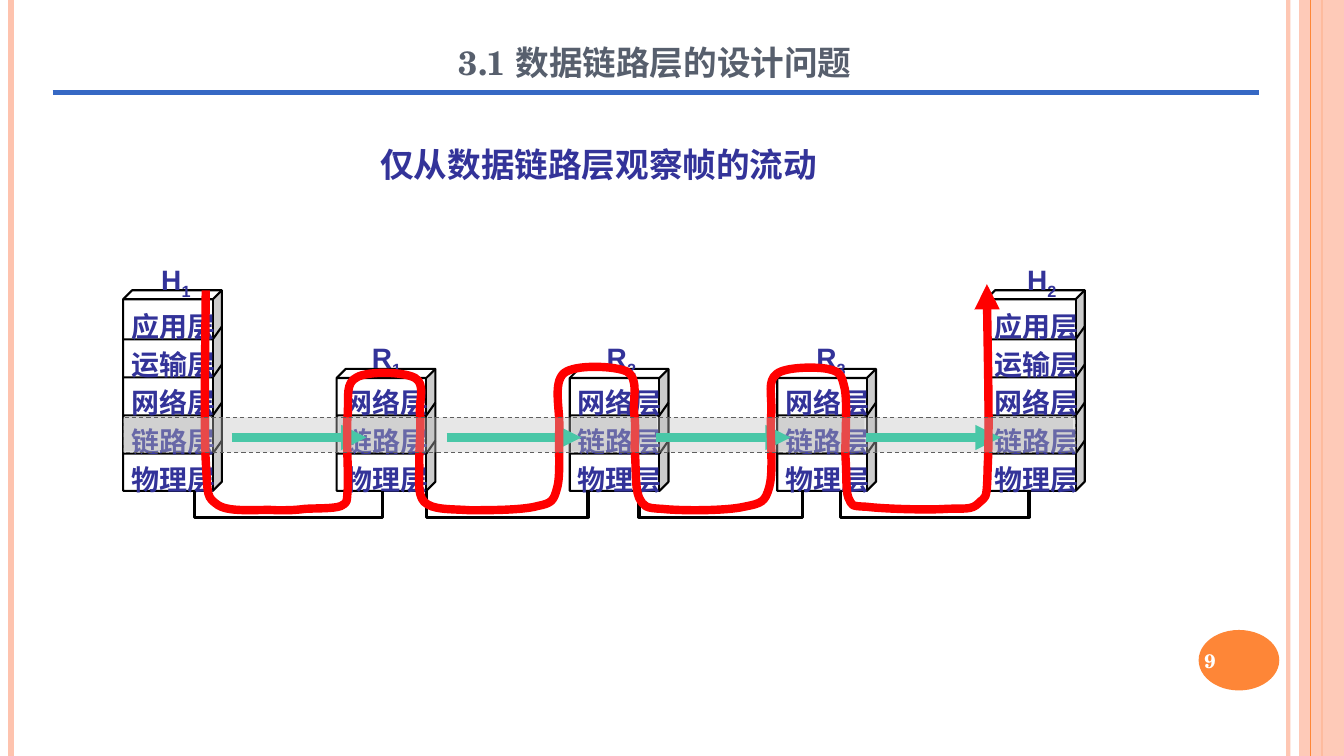
import dataclasses

import lxml.etree
import pptx
import pptx.dml.color
import pptx.enum.dml
import pptx.enum.shapes
import pptx.enum.text
import pptx.oxml.ns
import pptx.util

Pt = pptx.util.Pt
qn = pptx.oxml.ns.qn
SHAPES = pptx.enum.shapes.MSO_SHAPE
ALIGN = pptx.enum.text.PP_ALIGN
ANCHOR = pptx.enum.text.MSO_ANCHOR


@dataclasses.dataclass(frozen=True)
class Theme:
    heading: str = "575F6D"
    label: str = "333399"
    white: str = "FFFFFF"
    black: str = "000000"
    pale: str = "FEC3AE"
    orange: str = "FE8637"
    rule: str = "3668C4"
    link_layer: str = "DDDDDD"
    hop: str = "00CC99"
    route: str = "FF0000"
    band: str = "C0C0C0"
    band_edge: str = "5F5F5F"
    serif: str = "TeX Gyre Schola"
    sans: str = "Arial"
    chinese: str = "Noto Sans CJK SC"
    title_size: int = 30
    subtitle_size: int = 24
    label_size: int = 20
    number_size: int = 14


THEME = Theme()
LAYERS = ["应用层", "运输层", "网络层", "链路层", "物理层"]
LAYER_STEP = 27.2
STACK_BOTTOM = 350.6
STACK_WIDTH = 70.5
FRONT_WIDTH = 64

# Name, index, left of the stack, left of its name, number of layers, height
STACKS = [
    ("H", "1", 88, 107.3, 5, 143.3),
    ("H", "2", 704.3, 725.8, 5, 143.3),
    ("R", "1", 240.5, 257.8, 3, 87.1),
    ("R", "2", 407, 425.5, 3, 87.1),
    ("R", "3", 555.2, 575.3, 3, 87.1),
]
HOP_STARTS = [165.5, 319, 468.5, 618.5]
LINKS = [(139, 273), (304.5, 420), (456.5, 573), (600.5, 735)]

# Start of the frame's route, then three points for each Bézier curve
ROUTE = [
    (147, 207.5),
    (147, 227.5), (145.5, 304), (147, 329), (148.5, 355), (147.5, 355), (156, 361),
    (165, 366.5), (187, 363.5), (197.5, 364.5), (208, 364.5), (210, 364.5), (218, 363.5),
    (225.5, 363), (238.5, 363.5), (243.5, 361.5), (248.5, 358.5), (247.5, 360), (248.5, 348.5),
    (249, 337.5), (247, 309), (248.5, 295), (249, 282), (247, 273.5), (255, 269.5),
    (263, 265), (288.5, 265.5), (296.5, 270), (304, 274.5), (299.5, 285), (300, 295),
    (301, 304.5), (299.5, 318), (299.5, 329), (300, 339), (297.5, 353), (303, 358.5),
    (309, 364.5), (322, 363.5), (335.5, 364.5), (349, 364.5), (373.5, 364.5), (384, 361.5),
    (394, 359.5), (395.5, 358), (398, 348.5), (400.5, 340), (399, 320.5), (399.5, 307.5),
    (400.5, 294), (394.5, 273.5), (403, 266.5), (411, 260), (440, 261.5), (448, 265.5),
    (456.5, 270.5), (452, 285), (453, 295), (454.5, 304.5), (453, 313), (453.5, 323.5),
    (454.5, 333.5), (453.5, 348.5), (456.5, 355.5), (460, 362), (461, 363), (473, 363.5),
    (485.5, 365), (519, 365), (531.5, 362), (544.5, 359.5), (546.5, 358.5), (549.5, 348),
    (553, 336), (549.5, 308), (551, 295), (551.5, 281.5), (548, 272), (555, 267),
    (561.5, 262), (583, 262), (591, 263.5), (600, 265.5), (601, 267), (603.5, 278),
    (605.5, 288.5), (603.5, 314), (604, 327), (605, 340), (604, 350), (606, 355.5),
    (609, 361.5), (607.5, 361.5), (619, 362), (630.5, 363.5), (663, 364.5), (676, 363.5),
    (689, 363), (694, 364.5), (699, 359.5), (704, 354), (705, 360), (705.5, 334),
    (707, 308), (705, 230.5), (705, 203),
]


def rgb(colour):
    return pptx.dml.color.RGBColor.from_string(colour)


def set_alpha(fill_parent, percent):
    colour = fill_parent.find(qn("a:solidFill")).find(qn("a:srgbClr"))
    lxml.etree.SubElement(colour, qn("a:alpha"), val=str(percent * 1000))


def set_line(shape, colour, width, arrow=False):
    shape.line.color.rgb = rgb(colour)
    shape.line.width = Pt(width)
    if arrow:
        lxml.etree.SubElement(shape.line._get_or_add_ln(), qn("a:tailEnd"), type="triangle")


def add_line(page, start, end, colour, width, arrow=False, alpha=None):
    line = page.shapes.add_connector(
        pptx.enum.shapes.MSO_CONNECTOR.STRAIGHT, *map(Pt, start + end))
    set_line(line, colour, width, arrow)
    if alpha:
        set_alpha(line.line._get_or_add_ln(), alpha)
    lxml.etree.SubElement(line._element.spPr, qn("a:effectLst"))


def add_block(page, kind, area, fill, alpha=None):
    block = page.shapes.add_shape(kind, *map(Pt, area))
    block.shadow.inherit = False
    block.fill.solid()
    block.fill.fore_color.rgb = rgb(fill)
    if alpha:
        set_alpha(block._element.spPr, alpha)
    block.line.fill.background()
    return block


def add_outline(page, points, colour, width, arrow=False):
    corners = [(Pt(x), Pt(y)) for x, y in points]
    builder = page.shapes.build_freeform(*corners[0])
    builder.add_line_segments(corners[1:], close=False)
    outline = builder.convert_to_shape()
    outline.shadow.inherit = False
    outline.fill.background()
    set_line(outline, colour, width, arrow)
    return outline


def add_curve(page, points, colour, width):
    outline = add_outline(page, points, colour, width, arrow=True)
    # Turn every three straight segments into one cubic curve
    segments = list(outline._element.iter(qn("a:lnTo")))
    for first in range(0, len(segments), 3):
        curve = lxml.etree.Element(qn("a:cubicBezTo"))
        segments[first].addprevious(curve)
        for segment in segments[first:first + 3]:
            curve.append(segment[0])
            segment.getparent().remove(segment)


def write_text(box, text, size, colour, font=THEME.sans, subscript="", align=ALIGN.CENTER,
               anchor=ANCHOR.TOP, spacing=1.2, wrap=False, small_caps=False):
    frame = box.text_frame
    frame.word_wrap = wrap
    frame.vertical_anchor = anchor
    para = frame.paragraphs[0]
    para.alignment = align
    para.line_spacing = spacing
    for words in filter(None, (text, subscript)):
        span = para.add_run()
        span.text = words
        span.font.size = Pt(size)
        span.font.bold = True
        span.font.name = font
        span.font.color.rgb = rgb(colour)
        properties = span._r.get_or_add_rPr()
        east_asian = lxml.etree.Element(qn("a:ea"), typeface=THEME.chinese)
        properties.find(qn("a:latin")).addnext(east_asian)
        if small_caps:
            properties.set("cap", "small")
        if words == subscript:
            properties.set("baseline", "-25000")


def add_text(page, area, text, size, colour, **layout):
    write_text(page.shapes.add_textbox(*map(Pt, area)), text, size, colour, **layout)


def add_stack(page, left, layer_count, height):
    cube = add_block(page, SHAPES.CUBE,
                     (left, STACK_BOTTOM - height, STACK_WIDTH, height), THEME.white)
    cube.adjustments[0] = 0.092
    set_line(cube, THEME.black, 1.5)
    for row in range(1, layer_count):
        y = STACK_BOTTOM + 0.6 - LAYER_STEP * row
        add_outline(page, [(left, y), (left + FRONT_WIDTH, y), (left + STACK_WIDTH, y - 9.2)],
                    THEME.black, 1.5)
    add_block(page, SHAPES.RECTANGLE, (left + 1.2, 297.5, 61, 25), THEME.link_layer)
    for row, layer in list(enumerate(LAYERS))[-layer_count:]:
        add_text(page, (left - 2, 213 + LAYER_STEP * row, 75.6, 36), layer,
                 THEME.label_size, THEME.label, font=THEME.chinese)


def add_frame_decor(page):
    add_line(page, (920.2, 0), (920.2, 540), THEME.pale, 3, alpha=93)
    add_line(page, (8, 0), (8, 540), THEME.pale, 4.5)
    add_line(page, (944, 0), (944, 540), THEME.orange, 1.5)
    add_block(page, SHAPES.RECTANGLE, (928, 0, 32, 540), THEME.pale, alpha=87)
    add_line(page, (936, 0), (936, 540), THEME.orange, 0.75)
    add_block(page, SHAPES.OVAL, (856.2, 450, 57.6, 43.2), THEME.orange)
    add_text(page, (853.2, 451.4, 64, 41), "9", THEME.number_size, THEME.white,
             font=THEME.serif, align=ALIGN.LEFT, anchor=ANCHOR.MIDDLE, spacing=1.0, wrap=True)


def main():
    deck = pptx.Presentation()
    deck.slide_width, deck.slide_height = Pt(960), Pt(540)
    page = deck.slides.add_slide(deck.slide_layouts[5])
    add_frame_decor(page)

    # Protocol stacks
    for _, _, left, _, layer_count, height in STACKS:
        add_stack(page, left, layer_count, height)

    # Hops of the link layer and the physical links
    for start in HOP_STARTS:
        add_line(page, (start, 312.5), (start + 96.3, 312.5), THEME.hop, 6, arrow=True)
    for left, right in LINKS:
        add_outline(page, [(left, STACK_BOTTOM), (left, 369.4), (right, 369.4),
                           (right, STACK_BOTTOM)], THEME.black, 2.25)

    # Names and subtitle
    for name, index, _, name_left, _, height in STACKS:
        add_text(page, (name_left, STACK_BOTTOM - height - 29, 36.7, 36), name,
                 THEME.label_size, THEME.label, subscript=index)
    add_text(page, (262, 93.6, 331.2, 42.5), "仅从数据链路层观察帧的流动",
             THEME.subtitle_size, THEME.label)

    # Route of the frame under the link layer band
    add_curve(page, ROUTE, THEME.route, 6)
    band = add_block(page, SHAPES.RECTANGLE, (88, 298.1, 680.4, 25), THEME.band, alpha=38)
    set_line(band, THEME.band_edge, 0.75)
    band.line.dash_style = pptx.enum.dml.MSO_LINE.DASH

    # Title and rule
    add_line(page, (37.6, 66.2), (899.3, 66.2), THEME.rule, 3.5)
    title = page.shapes.title
    title.left, title.top, title.width, title.height = map(Pt, (162, 0, 612, 63.4))
    write_text(title, "3.1 数据链路层的设计问题", THEME.title_size, THEME.heading,
               font=THEME.serif, anchor=ANCHOR.BOTTOM, spacing=1.0, wrap=True, small_caps=True)

    deck.save("out.pptx")


if __name__ == "__main__":
    main()
